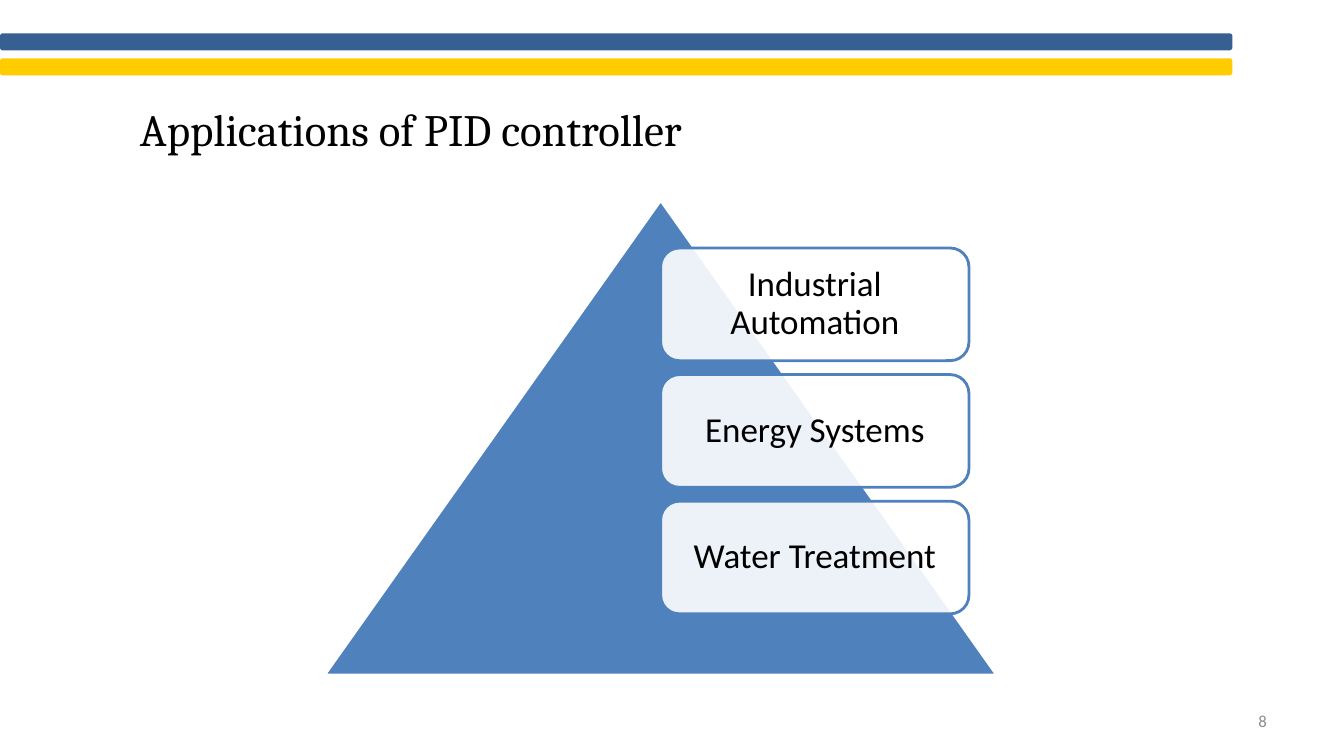
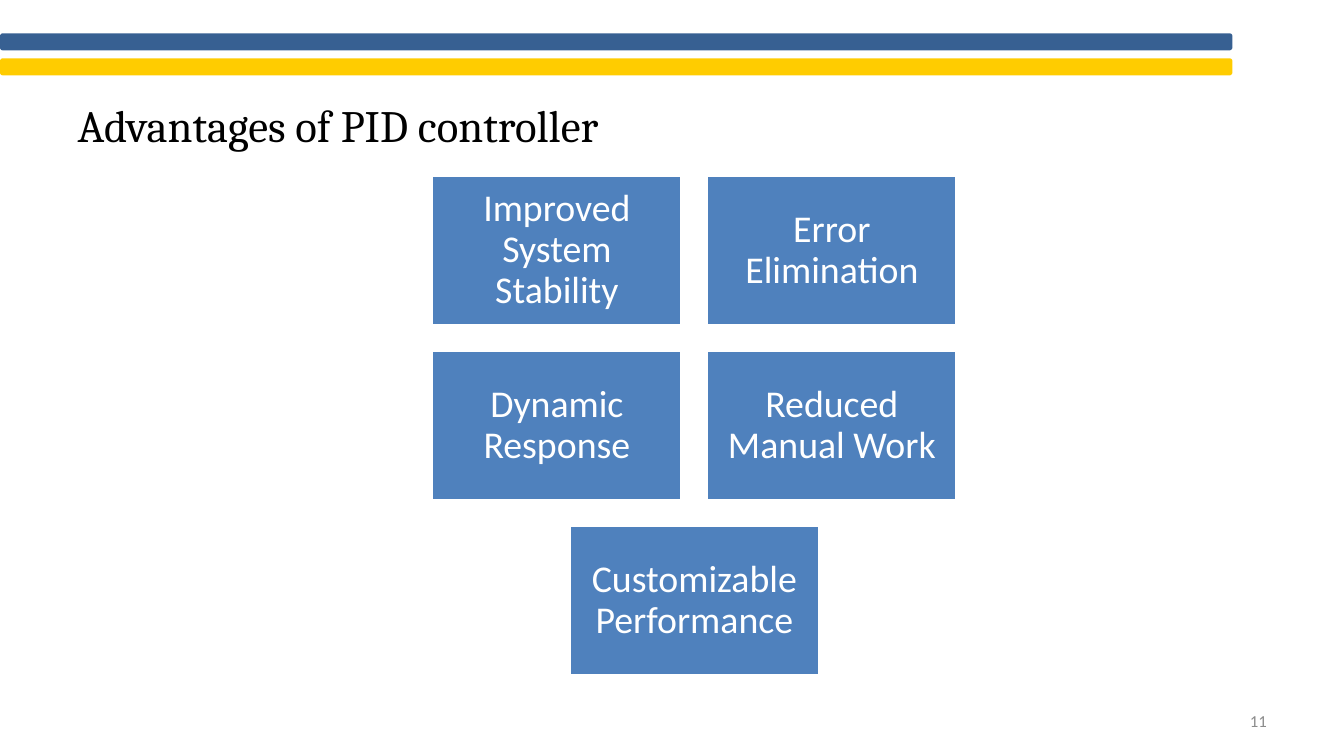
from lxml.etree import SubElement
from pptx import Presentation
from pptx.dml.color import RGBColor
from pptx.enum.shapes import MSO_SHAPE as Shape
from pptx.enum.text import MSO_ANCHOR as Anchor, MSO_AUTO_SIZE as AutoSize, PP_ALIGN as Align
from pptx.oxml.ns import qn
from pptx.util import Cm, Pt

BLUE, NAVY, YELLOW = "4F81BD", "376092", "FFCC00"
WHITE, BLACK, GREY = "FFFFFF", "000000", "8C8C8C"
BANDS = [(0.84, NAVY), (1.47, YELLOW)]

APPLICATIONS = ["Industrial Automation", "Energy Systems", "Water Treatment"]
ADVANTAGES = [
    "Improved System Stability",
    "Error Elimination",
    "Dynamic Response",
    "Reduced Manual Work",
    "Customizable Performance",
]


def color(value):
    return RGBColor.from_string(value)


def write(shape, text, size, ink, align, font="Calibri", inset=None, spacing=None):
    frame = shape.text_frame
    frame.word_wrap = True
    frame.auto_size = AutoSize.NONE
    frame.vertical_anchor = Anchor.MIDDLE
    if inset is not None:
        frame.margin_left = frame.margin_right = Cm(inset)
        frame.margin_top = frame.margin_bottom = Cm(inset)
    para = frame.paragraphs[0]
    para.alignment = align
    if spacing:
        para.line_spacing = spacing
    span = para.add_run()
    span.text = text
    span.font.size = Pt(size)
    span.font.name = font
    span.font.color.rgb = color(ink)


def add_box(page, kind, left, top, width, height, fill, line=None):
    box = page.shapes.add_shape(kind, Cm(left), Cm(top), Cm(width), Cm(height))
    box.shadow.inherit = False
    box.fill.solid()
    box.fill.fore_color.rgb = color(fill)
    if line:
        box.line.color.rgb = color(line)
        box.line.width = Pt(2)
    else:
        box.line.fill.background()
    return box


def set_opacity(box, percent):
    tint = box.fill._xPr.find(qn("a:solidFill"))[0]
    SubElement(tint, qn("a:alpha")).set("val", str(percent * 1000))


def add_page(deck, title, place, align, number):
    page = deck.slides.add_slide(deck.slide_layouts[5])
    heading = page.shapes.title
    heading.left, heading.top, heading.width, heading.height = map(Cm, place)
    write(heading, title, 32, BLACK, align, font="Cambria")
    footer = page.shapes.add_textbox(Cm(24.28), Cm(17.65), Cm(7.9), Cm(1.02))
    write(footer, number, 12, GREY, Align.RIGHT)
    for top, fill in BANDS:
        add_box(page, Shape.ROUNDED_RECTANGLE, 0, top, 31.06, 0.43, fill)
    return page


def add_pyramid(page, labels):
    left, top, width, height = 8.18, 5.05, 16.94, 11.96
    card_top, card_width, card_height, pitch = 6.25, 7.77, 2.84, 3.19
    add_box(page, Shape.ISOSCELES_TRIANGLE, left, top, width, height, BLUE, WHITE)
    for index, label in enumerate(labels):
        card = add_box(page, Shape.ROUNDED_RECTANGLE, left + width / 2,
                       card_top + index * pitch, card_width, card_height, WHITE, BLUE)
        set_opacity(card, 90)
        write(card, label, 25, BLACK, Align.CENTER, inset=0.4, spacing=0.9)


def add_grid(page, labels, columns=2):
    center, top, width, height, gap = 17.5, 4.42, 6.3, 3.78, 0.63
    for start in range(0, len(labels), columns):
        row = labels[start:start + columns]
        left = center - (len(row) * (width + gap) - gap) / 2
        row_top = top + start // columns * (height + gap)
        for column, label in enumerate(row):
            tile = add_box(page, Shape.RECTANGLE, left + column * (width + gap),
                           row_top, width, height, BLUE, WHITE)
            write(tile, label, 27, WHITE, Align.CENTER, inset=0.28, spacing=0.9)


def main():
    deck = Presentation()
    deck.slide_width, deck.slide_height = Cm(33.87), Cm(19.05)
    applications = add_page(deck, "Applications of PID controller",
                            (1.47, 2.54, 17.78, 1.4), Align.CENTER, "8")
    add_pyramid(applications, APPLICATIONS)
    advantages = add_page(deck, "Advantages of PID controller",
                          (1.7, 2.34, 18.21, 1.6), Align.LEFT, "11")
    add_grid(advantages, ADVANTAGES)
    deck.save("out.pptx")


if __name__ == "__main__":
    main()
